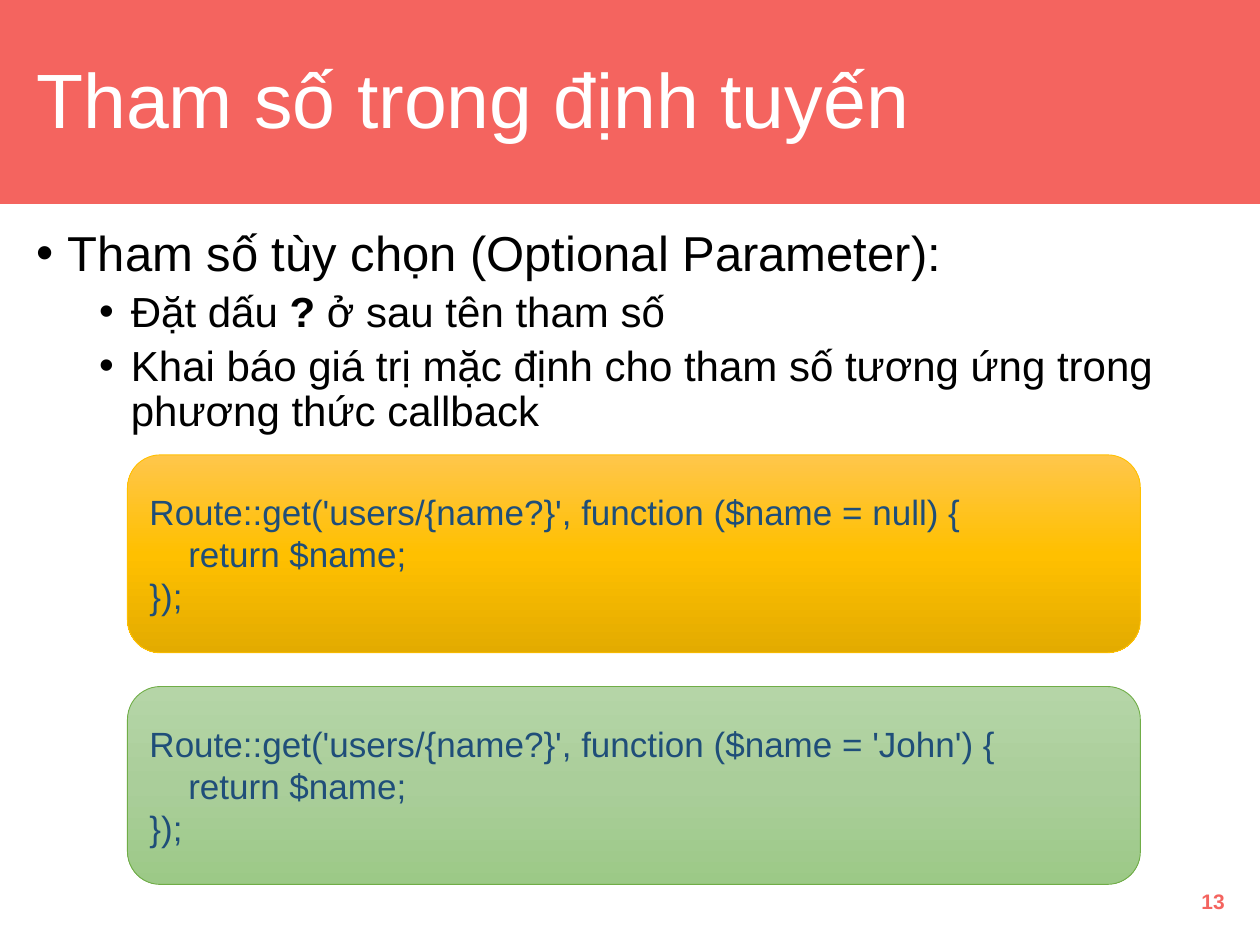
from copy import deepcopy

from lxml import etree
from pptx import Presentation
from pptx import util as u
from pptx.dml.color import RGBColor
from pptx.enum import shapes, text
from pptx.oxml.ns import qn

CORAL = "F4645F"
WHITE = "FFFFFF"
BLACK = "000000"
NAVY = "1F4E79"

LEFT, WIDTH = 0.48, 24.46  # shared text column, in cm


def color(hex_string):
    return RGBColor.from_string(hex_string)


def place(shape, box):
    for name, value in zip(("left", "top", "width", "height"), box):
        setattr(shape, name, u.Cm(value))


def apply_format(target, values):
    for name, value in values.items():
        setattr(target, name, value)


def add_run(paragraph, words, size, hex_string, bold=False):
    run = paragraph.add_run()
    run.text = words
    apply_format(run.font, {"name": "Arial", "size": u.Pt(size), "bold": bold})
    run.font.color.rgb = color(hex_string)


def prepare_frame(shape, anchor):
    frame = shape.text_frame
    apply_format(frame, {
        "word_wrap": True,
        "auto_size": text.MSO_AUTO_SIZE.NONE,
        "vertical_anchor": anchor,
    })
    return frame


def add_header(slide, box):
    left, top, width, height = box
    # Band, sent behind the title
    band = slide.shapes.add_shape(shapes.MSO_SHAPE.RECTANGLE, 0, 0, 0, 0)
    place(band, box)
    band.shadow.inherit = False
    band.fill.solid()
    band.fill.fore_color.rgb = color(CORAL)
    band.line.color.rgb = color(CORAL)
    band.line.width = u.Pt(1)
    slide.shapes.title.element.addprevious(band.element)

    # Title
    title = slide.shapes.title
    place(title, (left + LEFT, top + 0.69, WIDTH, height - 1.3))
    frame = prepare_frame(title, text.MSO_ANCHOR.MIDDLE)
    paragraph = frame.paragraphs[0]
    apply_format(paragraph, {"alignment": text.PP_ALIGN.LEFT, "line_spacing": 0.9})
    add_run(paragraph, "Tham số trong định tuyến", 44, WHITE)


def add_bullets(slide, box, items):
    body = slide.shapes.add_textbox(0, 0, 0, 0)
    place(body, box)
    frame = prepare_frame(body, text.MSO_ANCHOR.TOP)
    for index, (level, runs) in enumerate(items):
        paragraph = frame.paragraphs[0] if index == 0 else frame.add_paragraph()
        properties = paragraph._p.get_or_add_pPr()
        properties.set("marL", str(u.Cm(0.64 + 1.27 * level)))
        properties.set("indent", str(-u.Cm(0.64)))
        etree.SubElement(properties, qn("a:buFont"), typeface="Arial")
        etree.SubElement(properties, qn("a:buChar"), char="•")
        apply_format(paragraph, {
            "level": level,
            "line_spacing": 0.9,
            "space_before": u.Pt(5 if index else 0),
        })
        for words, bold in runs:
            add_run(paragraph, words, 28 - 4 * level, BLACK, bold)


def fill_gradient(shape, hex_strings):
    """Spread the colours evenly from top to bottom."""
    shape.fill.gradient()
    shape.fill.gradient_angle = 270
    stop_list = shape.element.spPr.find(qn("a:gradFill")).find(qn("a:gsLst"))
    stop_list.insert(1, deepcopy(stop_list[0]))
    stops = list(shape.fill.gradient_stops)
    for index, (stop, hex_string) in enumerate(zip(stops, hex_strings)):
        stop.position = index / (len(stops) - 1)
        stop.color.rgb = color(hex_string)


def add_code_box(slide, box, default, gradient, border):
    panel = slide.shapes.add_shape(shapes.MSO_SHAPE.ROUNDED_RECTANGLE, 0, 0, 0, 0)
    place(panel, box)
    panel.shadow.inherit = False
    fill_gradient(panel, gradient)
    panel.line.color.rgb = color(border)
    panel.line.width = u.Pt(0.5)

    lines = (
        f"Route::get('users/{{name?}}', function ($name = {default}) {{",
        "    return $name;",
        "});",
    )
    frame = prepare_frame(panel, text.MSO_ANCHOR.MIDDLE)
    for index, line in enumerate(lines):
        paragraph = frame.paragraphs[0] if index == 0 else frame.add_paragraph()
        paragraph.alignment = text.PP_ALIGN.LEFT
        add_run(paragraph, line, 20, NAVY)


def add_page_number(slide, box, number):
    label = slide.shapes.add_textbox(0, 0, 0, 0)
    place(label, box)
    paragraph = prepare_frame(label, text.MSO_ANCHOR.MIDDLE).paragraphs[0]
    paragraph.alignment = text.PP_ALIGN.RIGHT
    add_run(paragraph, number, 12, CORAL, bold=True)


def main():
    presentation = Presentation()
    presentation.slide_width = u.Cm(25.4)
    presentation.slide_height = u.Cm(19.05)
    slide = presentation.slides.add_slide(presentation.slide_layouts[5])

    add_header(slide, (0, 0, 25.4, 4.09))
    add_bullets(slide, (LEFT, 4.5, WIDTH, 12.65), [
        (0, [("Tham số tùy chọn (Optional Parameter):", False)]),
        (1, [("Đặt dấu ", False), ("?", True), (" ở sau tên tham số", False)]),
        (1, [("Khai báo giá trị mặc định cho tham số tương ứng trong "
              "phương thức callback", False)]),
    ])
    add_page_number(slide, (19.2, 17.65, 5.74, 1.02), "13")

    # Code examples, stacked at an equal pitch
    examples = (
        ("null", ("FFC64B", "FFC000", "E3AB00"), "FFC000"),
        ("'John'", ("B5D5A7", "AACE9A", "9CC987"), "70AD47"),
    )
    for index, example in enumerate(examples):
        add_code_box(slide, (2.57, 9.17 + 4.67 * index, 20.42, 3.99), *example)

    presentation.save("out.pptx")


if __name__ == "__main__":
    main()
